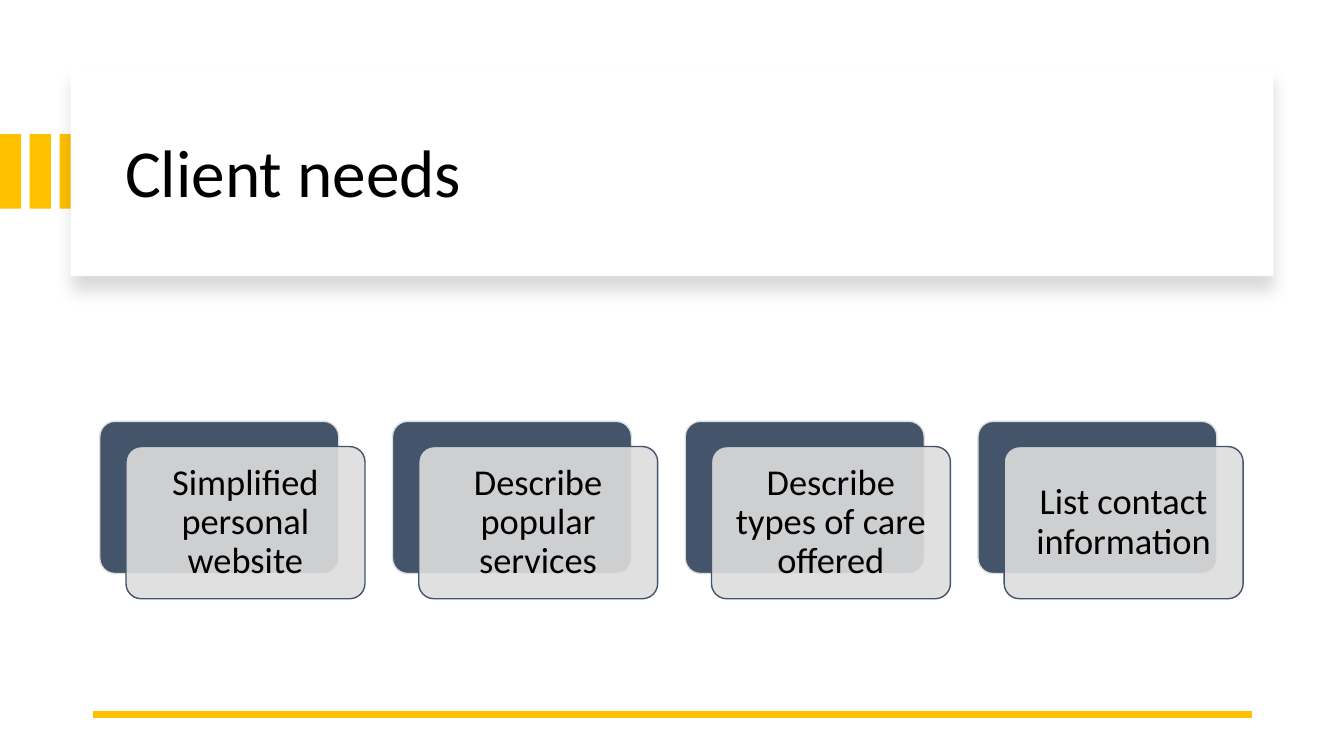
from dataclasses import dataclass

from lxml import etree
from pptx import Presentation, util as u
from pptx.dml.color import RGBColor
from pptx.enum import shapes, text
from pptx.oxml import ns


@dataclass(frozen=True)
class Theme:
    """Hold the colours and type of the slide."""
    accent: str = "FFC000"
    navy: str = "44546A"
    pale: str = "DDDDDD"
    paper: str = "FFFFFF"
    ink: str = "000000"
    font: str = "Calibri"
    title_size: int = 48
    card_size: int = 26


THEME = Theme()
NEEDS = [
    "Simplified personal website",
    "Describe popular services",
    "Describe types of care offered",
    "List contact information",
]


def add_panel(slide, box, fill, outline=None, preset=shapes.MSO_SHAPE.RECTANGLE):
    """Add a filled shape in the box, with an optional thin outline."""
    panel = slide.shapes.add_shape(preset, *map(u.Inches, box))
    panel.shadow.inherit = False
    panel.fill.solid()
    panel.fill.fore_color.rgb = RGBColor.from_string(fill)
    if outline:
        panel.line.color.rgb = RGBColor.from_string(outline)
        panel.line.width = u.Pt(1)
    else:
        panel.line.fill.background()
    return panel


def write(frame, words, size, align):
    """Write one paragraph in the middle of the text frame."""
    frame.word_wrap = True
    frame.auto_size = text.MSO_AUTO_SIZE.NONE
    frame.vertical_anchor = text.MSO_ANCHOR.MIDDLE
    paragraph = frame.paragraphs[0]
    paragraph.alignment = align
    paragraph.line_spacing = 0.9
    run = paragraph.add_run()
    run.text = words
    run.font.name = THEME.font
    run.font.size = u.Pt(size)
    run.font.color.rgb = RGBColor.from_string(THEME.ink)


def drop_shadow(panel):
    """Give the panel a soft shadow that falls straight down."""
    effects = panel._element.spPr.find(ns.qn("a:effectLst"))
    shadow = etree.SubElement(
        effects, ns.qn("a:outerShdw"), blurRad=str(u.Pt(11)), dist=str(u.Pt(10)),
        dir="5400000", algn="t", rotWithShape="0")
    color = etree.SubElement(shadow, ns.qn("a:srgbClr"), val=THEME.ink)
    etree.SubElement(color, ns.qn("a:alpha"), val="15000")


def add_header(slide, box, heading):
    """Place the accent stripes, the raised panel and the title."""
    left, top, width, height = box
    for stripe in range(3):
        add_panel(slide, (stripe * 0.295, top + 0.66, 0.21, 0.74), THEME.accent)
    drop_shadow(add_panel(slide, box, THEME.paper))
    title = slide.shapes.title
    title.left, title.top = u.Inches(left + 0.44), u.Inches(top + 0.22)
    title.width, title.height = u.Inches(width - 0.8), u.Inches(height - 0.37)
    write(title.text_frame, heading, THEME.title_size, text.PP_ALIGN.LEFT)
    slide.shapes._spTree.append(title._element)


def add_card(slide, box, need):
    """Place a navy card with a translucent labelled card over it."""
    left, top, width, height = box
    shift_x, shift_y = 0.26, 0.25
    size = (width - shift_x, height - shift_y)
    rounded = shapes.MSO_SHAPE.ROUNDED_RECTANGLE
    back = add_panel(slide, (left, top, *size), THEME.navy, THEME.pale, rounded)
    front = add_panel(slide, (left + shift_x, top + shift_y, *size),
                      THEME.pale, THEME.navy, rounded)
    for card in (back, front):
        card.adjustments[0] = 0.1
    color = front._element.spPr.find(ns.qn("a:solidFill"))[0]
    etree.SubElement(color, ns.qn("a:alpha"), val="90000")
    frame = front.text_frame
    frame.margin_left = frame.margin_right = u.Inches(0.11)
    frame.margin_top = frame.margin_bottom = u.Inches(0.11)
    write(frame, need, THEME.card_size, text.PP_ALIGN.CENTER)


def add_needs(slide, box, needs):
    """Spread one card per need evenly across the box."""
    left, top, width, height = box
    card_width = 2.63
    pitch = (width - card_width) / (len(needs) - 1)
    for column, need in enumerate(needs):
        add_card(slide, (left + column * pitch, top, card_width, height), need)


def add_footer_rule(slide, left, right, y):
    """Draw the thick accent line at the foot of the slide."""
    rule = slide.shapes.add_connector(
        shapes.MSO_CONNECTOR.STRAIGHT, *map(u.Inches, (right, y, left, y)))
    rule.line.color.rgb = RGBColor.from_string(THEME.accent)
    rule.line.width = u.Pt(4.5)
    etree.SubElement(rule._element.spPr, ns.qn("a:effectLst"))


def main():
    """Build and save the slide."""
    deck = Presentation()
    deck.slide_width, deck.slide_height = u.Inches(13.33), u.Inches(7.5)
    slide = deck.slides.add_slide(deck.slide_layouts.get_by_name("Title Only"))
    add_header(slide, (0.7, 0.67, 11.93, 2.07), "Client needs")
    add_footer_rule(slide, 0.92, 12.42, 7.09)
    add_needs(slide, (0.99, 4.18, 11.34, 1.76), NEEDS)
    deck.save("out.pptx")


if __name__ == "__main__":
    main()
